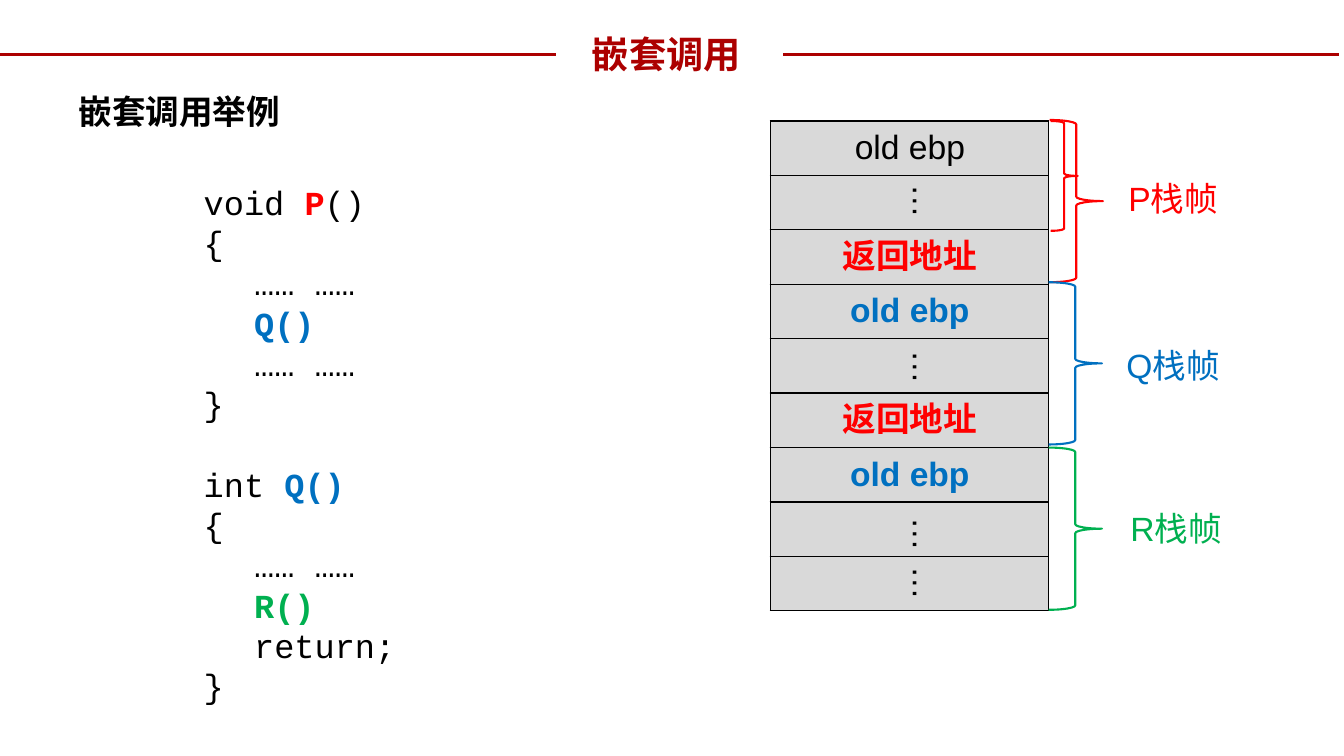
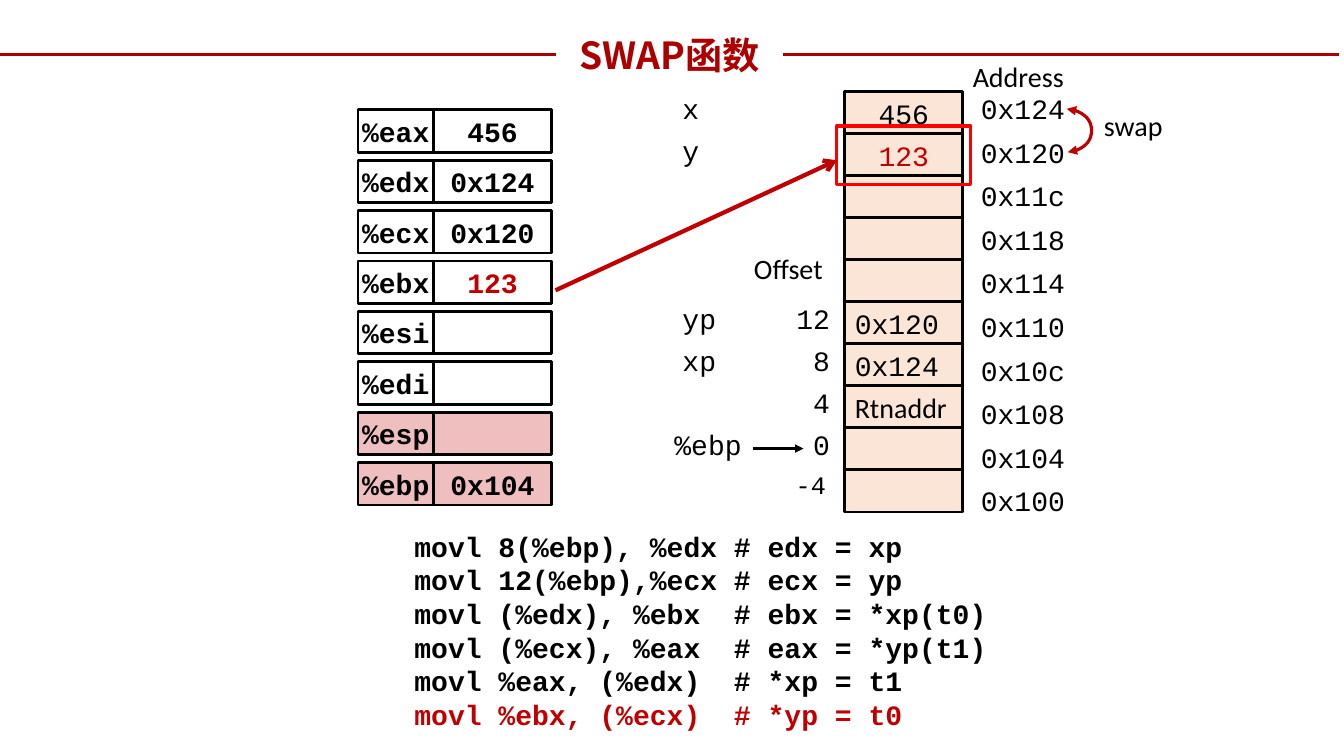
import lxml.etree
import pptx
import pptx.dml.color
import pptx.enum.shapes
import pptx.enum.text
import pptx.oxml
import pptx.oxml.ns
import pptx.util

C = {"black": "000000", "white": "FFFFFF", "title": "AC0000", "red": "FF0000",
     "blue": "0070C0", "green": "00B050", "crimson": "C00000",
     "gray": "D9D9D9", "peach": "FBE5D6", "pink": "EFBFBF"}
SANS, MONO, HUMAN, HEAD = "Arial", "Courier New", "Calibri", "Noto Sans CJK SC"
RGB = pptx.dml.color.RGBColor.from_string
Inches, Pt, qn = pptx.util.Inches, pptx.util.Pt, pptx.oxml.ns.qn
SHAPE = pptx.enum.shapes.MSO_SHAPE
CONN = pptx.enum.shapes.MSO_CONNECTOR
ALIGN = pptx.enum.text.PP_ALIGN
ANCHOR = pptx.enum.text.MSO_ANCHOR


def write(tf, paras, size, font, align=ALIGN.LEFT, anchor=ANCHOR.TOP):
    """Fill a frame with paragraphs, each a list of (text, colour, bold) runs."""
    tf.word_wrap = True
    tf.vertical_anchor = anchor
    for i, runs in enumerate(paras):
        p = tf.paragraphs[0] if i == 0 else tf.add_paragraph()
        p.alignment = align
        for text, color, bold in runs:
            r = p.add_run()
            r.text = text
            r.font.size, r.font.name, r.font.bold = Pt(size), font, bold
            r.font.color.rgb = RGB(C[color])
            if any("一" <= ch <= "鿿" for ch in text):
                ea = lxml.etree.Element(qn("a:ea"), typeface=HEAD)
                r.font._element.find(qn("a:latin")).addnext(ea)


def put(shapes, at, kind=None, fill=None, line="black", width=2):
    """Add a preset shape, or a text box when no kind is given."""
    box = [Inches(v) for v in at]
    if kind is None:
        return shapes.add_textbox(*box)
    sp = shapes.add_shape(kind, *box)
    sp.shadow.inherit = False
    if fill:
        sp.fill.solid()
        sp.fill.fore_color.rgb = RGB(C[fill])
    else:
        sp.fill.background()
    sp.line.color.rgb = RGB(C[line])
    sp.line.width = Pt(width)
    return sp


prs = pptx.Presentation()
prs.slide_width, prs.slide_height = Inches(13.33), Inches(7.5)

# Titles and code listings
K = "black"
nested_code = [
    [("void ", K, False), ("P", "red", True), ("()", K, False)],
    [("{", K, False)],
    [("\t…… ……", K, False)],
    [("\t", K, False), ("Q()", "blue", True)],
    [("\t…… ……", K, False)],
    [("}", K, False)],
    [("int ", K, False), ("Q()", "blue", True)],
    [("{", K, False)],
    [("\t…… ……", K, False)],
    [("\t", K, False), ("R()", "green", True)],
    [("\treturn;", K, False)],
    [("}", K, False)],
]
swap_code = [[(text, color, True)] for text, color in (
    ("movl 8(%ebp), %edx # edx = xp", K),
    ("movl 12(%ebp),%ecx # ecx = yp", K),
    ("movl (%edx), %ebx  # ebx = *xp(t0)", K),
    ("movl (%ecx), %eax  # eax = *yp(t1)", K),
    ("movl %eax, (%edx)  # *xp = t1", K),
    ("movl %ebx, (%ecx)  # *yp = t0", "crimson"))]

for title, x, y, code, size, at in (
        ("嵌套调用", 5.3, 0.26, nested_code, 24, (1.92, 1.75, 3.38, 5.35)),
        ("SWAP函数", 5.33, 0.27, swap_code, 20, (4.01, 5.2, 6.13, 2.12))):
    s = prs.slides.add_slide(prs.slide_layouts[1])
    body = s.placeholders[1]
    for sp, place in ((s.shapes.title, (x, y, 2.62, 0.55)), (body, at)):
        sp.left, sp.top, sp.width, sp.height = [Inches(v) for v in place]
        sp.text_frame.auto_size = pptx.enum.text.MSO_AUTO_SIZE.NONE
    write(s.shapes.title.text_frame, [[(title, "title", True)]], 26.6, HEAD, ALIGN.CENTER)
    write(body.text_frame, code, size, MONO)
    for p in body.text_frame.paragraphs:
        p.space_before = Pt(28.8 if p.text.startswith("int") else 0)
        pPr = p._p.get_or_add_pPr()
        pPr.set("marL", "0")
        pPr.set("indent", "0")
        lxml.etree.SubElement(pPr, qn("a:buNone"))
        if p.text.startswith("\t"):
            tabs = lxml.etree.SubElement(pPr, qn("a:tabLst"))
            lxml.etree.SubElement(tabs, qn("a:tab"), pos=str(Inches(1)), algn="l")
nested, swap = prs.slides

# Nested calls: the stack is a table of two rows above seven tables of one row
write(put(nested.shapes, (0.68, 0.85, 3.54, 0.5)).text_frame,
      [[("嵌套调用举例", K, True)]], 24, HEAD)
LEFT, TOP, WIDE, ROW = 7.64, 1.2, 2.76, 0.54
for first, count in [(0, 2)] + [(i, 1) for i in range(2, 9)]:
    table = nested.shapes.add_table(count, 1, Inches(LEFT), Inches(TOP + ROW * first),
                                    Inches(WIDE), Inches(ROW * count)).table
    table.first_row = table.horz_banding = False
    for cell in table.iter_cells():
        tcPr = cell._tc.get_or_add_tcPr()
        for side in ("lnL", "lnR", "lnT", "lnB"):
            ln = lxml.etree.SubElement(tcPr, qn("a:" + side), w=str(Pt(1)))
            solid = lxml.etree.SubElement(ln, qn("a:solidFill"))
            lxml.etree.SubElement(solid, qn("a:srgbClr"), val=C["black"])
        cell.fill.solid()
        cell.fill.fore_color.rgb = RGB(C["gray"])

for row, text, color, bold in (
        (0, "old ebp", K, False), (2, "返回地址", "red", True),
        (3, "old ebp", "blue", True), (5, "返回地址", "red", True),
        (6, "old ebp", "blue", True)):
    write(put(nested.shapes, (8.21, TOP + ROW * row, 1.63, 0.5)).text_frame,
          [[(text, color, bold)]], 24, SANS, ALIGN.CENTER)
for y in (1.75, 3.39, 5.05, 5.54):
    dots = put(nested.shapes, (8.76, y, 0.85, 0.5))
    dots.rotation = 90
    write(dots.text_frame, [[("…", K, False)]], 24, SANS, ALIGN.CENTER)

# One brace for each frame of three rows
for name, color, x, y, label_x, label_y in (
        ("P", "red", 10.41, 1.19, 10.95, 1.72),
        ("Q", "blue", 10.4, 2.8, 10.95, 3.37),
        ("R", "green", 10.4, 4.44, 10.98, 4.99)):
    put(nested.shapes, (x, y, 0.53, 1.61), SHAPE.RIGHT_BRACE, line=color, width=1.5)
    write(put(nested.shapes, (label_x, label_y, 1.37, 0.5)).text_frame,
          [[(name + "栈帧", color, False)]], 24, SANS, ALIGN.CENTER)
put(nested.shapes, (10.42, TOP, 0.27, 1.09), SHAPE.RIGHT_BRACE, line="red", width=1.5)

# Swap: registers
CELL_W, CELL_H = 1.17, 0.42
group = swap.shapes.add_group_shape()
registers = (("%eax", "456"), ("%edx", "0x124"), ("%ecx", "0x120"), ("%ebx", "123"),
             ("%esi", ""), ("%edi", ""), ("%esp", ""), ("%ebp", "0x104"))
for i, (name, value) in enumerate(registers):
    fill = "pink" if name in ("%esp", "%ebp") else "white"
    for text, x, w in ((name, 3.55, 0.75), (value, 4.3, CELL_W)):
        sp = put(group.shapes, (x, 1.09 + 0.5 * i, w, CELL_H), SHAPE.RECTANGLE, fill)
        if text:
            tf = sp.text_frame
            tf.margin_left = tf.margin_right = 0
            color = "crimson" if text == "123" else K
            write(tf, [[(text, color, True)]], 20, MONO, ALIGN.CENTER, ANCHOR.MIDDLE)

# Swap: memory cells as (variable, offset, value)
memory = (("x", "", "456"), ("y", "", "123"), ("", "", ""), ("", "", ""), ("", "", ""),
          ("yp", "12", "0x120"), ("xp", "8", "0x124"), ("", "4", "Rtnaddr"),
          ("%ebp", "0", ""), ("", "-4", ""))
CELL_PITCH, ADDRESS_PITCH = 3.75 / 9, 3.89 / 9
for i, (name, offset, value) in enumerate(memory):
    top = 0.91 + CELL_PITCH * i
    sp = put(swap.shapes, (8.38, top, CELL_W, CELL_H), SHAPE.RECTANGLE, "peach")
    if value:
        write(sp.text_frame, [[(value, "crimson" if value == "123" else K, False)]], 20,
              HUMAN if value == "Rtnaddr" else MONO,
              ALIGN.CENTER if value.isdigit() else ALIGN.LEFT, ANCHOR.MIDDLE)
    if name:
        x = 6.59 if name == "%ebp" else 6.67
        write(put(swap.shapes, (x, top - 0.05, 0.92, 0.44)).text_frame,
              [[(name, K, False)]], 20, MONO)
    if offset:
        x, size = (7.58, 18) if offset == "-4" else (7.62, 20)
        write(put(swap.shapes, (x, top - 0.05, 0.71, 0.44)).text_frame,
              [[(offset, K, False)]], size, MONO, ALIGN.RIGHT)
    address = f"0x{0x124 - 4 * i:x}"
    write(put(swap.shapes, (9.63, 0.86 + ADDRESS_PITCH * i, 1.33, 0.44)).text_frame,
          [[(address, K, False)]], 20, MONO)
for text, x, y in (("Offset", 7.38, 2.45), ("Address", 9.55, 0.54), ("swap", 10.85, 1.03)):
    write(put(swap.shapes, (x, y, 1.3, 0.44)).text_frame, [[(text, K, False)]], 20, HUMAN)
put(swap.shapes, (8.3, 1.25, 1.33, 0.58), SHAPE.RECTANGLE, line="red", width=2.25)

# Title rules and arrows: kind, from, to, colour, width, arrowheads
straight = CONN.STRAIGHT
rules = [(straight, (x, 0.54), (x + 5.51, 0.54), "title", 2, {}) for x in (0, 7.77)]
arrows = [
    (straight, (7.47, 4.45), (7.97, 4.45), K, 2, {"tailEnd": "triangle"}),
    (straight, (5.51, 2.88), (8.3, 1.59), "crimson", 3, {"tailEnd": "arrow"}),
    (CONN.CURVE, (10.58, 1.08), (10.59, 1.51), "crimson", 2.25,
     {"headEnd": "triangle", "tailEnd": "triangle"}),
]
for s, lines in ((nested, rules), (swap, rules + arrows)):
    for kind, start, end, color, width, heads in lines:
        cx = s.shapes.add_connector(kind, *[Inches(v) for v in start + end])
        cx.line.color.rgb = RGB(C[color])
        cx.line.width = Pt(width)
        for tag, head in heads.items():
            lxml.etree.SubElement(cx.line._get_or_add_ln(), qn("a:" + tag), type=head)
        spPr = cx._element.spPr
        lxml.etree.SubElement(spPr, qn("a:effectLst"))
        if kind == CONN.CURVE:
            geom = spPr.find(qn("a:prstGeom"))
            guides = geom.find(qn("a:avLst"))
            if guides is None:
                guides = lxml.etree.SubElement(geom, qn("a:avLst"))
            lxml.etree.SubElement(guides, qn("a:gd"), name="adj1", fmla="val 2500000")

prs.save("out.pptx")
